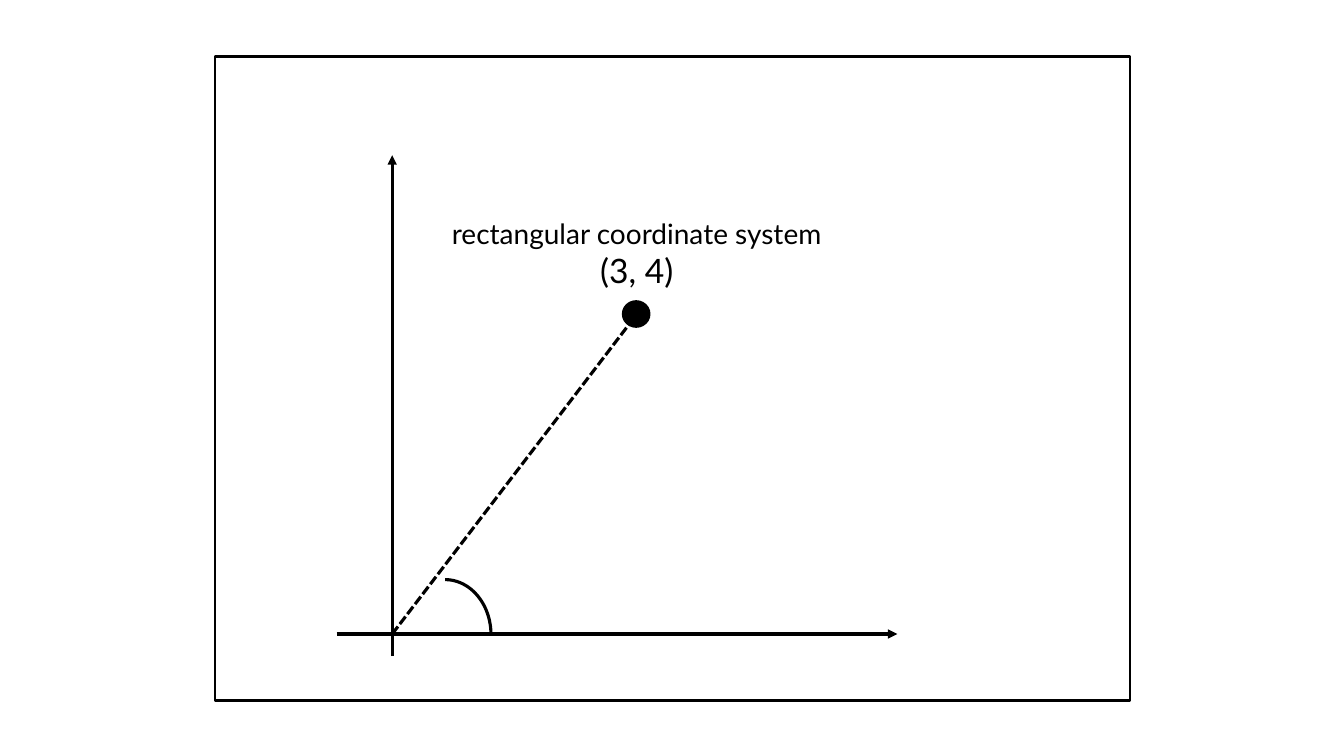
from lxml.etree import SubElement
from pptx import Presentation
from pptx.dml.color import RGBColor
from pptx.enum.dml import MSO_LINE_DASH_STYLE as DASH
from pptx.enum.shapes import MSO_CONNECTOR, MSO_SHAPE as SHAPE
from pptx.enum.text import MSO_AUTO_SIZE, PP_ALIGN
from pptx.oxml.ns import qn
from pptx.util import Inches, Pt

COLORS = {"ink": "000000"}
FONT = "Lato"


class Diagram:
    def __init__(self, slide, font, colors):
        self.slide = slide
        self.font = font
        self.ink = RGBColor.from_string(colors["ink"])

    def style_line(self, line, width):
        line.color.rgb = self.ink
        line.width = Pt(width)

    def line(self, start, end, arrow=False, dash=None):
        points = [Inches(value) for value in (*start, *end)]
        connector = self.slide.shapes.add_connector(MSO_CONNECTOR.STRAIGHT, *points)
        self.style_line(connector.line, 2.25)
        if dash:
            connector.line.dash_style = dash
        if arrow:
            SubElement(connector.line._get_or_add_ln(), qn("a:tailEnd"), type="triangle")
        SubElement(connector._element.spPr, qn("a:effectLst"))

    def shape(self, kind, box, width=1.75, filled=False):
        shape = self.slide.shapes.add_shape(kind, *[Inches(value) for value in box])
        shape.shadow.inherit = False
        if filled:
            shape.fill.solid()
            shape.fill.fore_color.rgb = self.ink
        else:
            shape.fill.background()
        self.style_line(shape.line, width)

    def label(self, box, lines):
        """Add centred text, one paragraph for each (text, size) pair."""
        frame = self.slide.shapes.add_textbox(*[Inches(value) for value in box]).text_frame
        frame.word_wrap = True
        frame.auto_size = MSO_AUTO_SIZE.SHAPE_TO_FIT_TEXT
        for index, (text, size) in enumerate(lines):
            paragraph = frame.add_paragraph() if index else frame.paragraphs[0]
            paragraph.alignment = PP_ALIGN.CENTER
            run = paragraph.add_run()
            run.text = text
            run.font.name = self.font
            run.font.size = Pt(size)
            run.font.color.rgb = self.ink


def main():
    presentation = Presentation()
    presentation.slide_width = Inches(13.33)
    presentation.slide_height = Inches(7.5)
    blank_layout = presentation.slide_layouts[6]
    diagram = Diagram(presentation.slides.add_slide(blank_layout), FONT, COLORS)

    origin_x, origin_y = 3.89, 6.29
    diagram.line((origin_x, 6.51), (origin_x, 1.54), arrow=True)
    diagram.line((3.34, origin_y), (8.9, origin_y), arrow=True)
    diagram.line((origin_x, origin_y), (6.36, 3.06), dash=DASH.SQUARE_DOT)

    diagram.shape(SHAPE.RECTANGLE, (2.13, 0.56, 9.08, 6.39))
    diagram.shape(SHAPE.OVAL, (6.18, 2.99, 0.26, 0.25), filled=True)
    diagram.shape(SHAPE.ARC, (3.96, 5.75, 0.91, 1.09), width=2.25)
    diagram.label((4.07, 2.1, 4.49, 0.84),
                  [("rectangular coordinate system", 20), ("(3, 4)", 24)])

    presentation.save("out.pptx")


if __name__ == "__main__":
    main()
